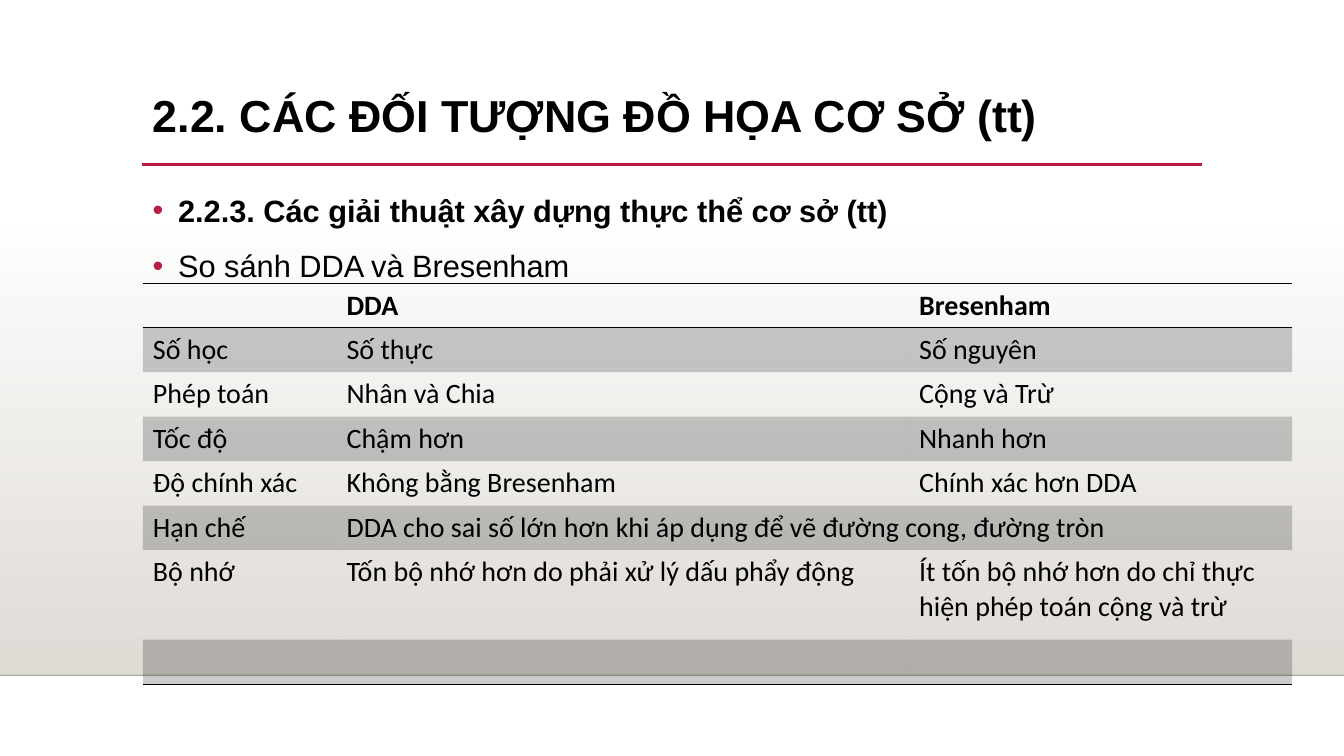
from lxml import etree
from pptx import Presentation
from pptx.dml.color import RGBColor
from pptx.enum.shapes import MSO_CONNECTOR, MSO_SHAPE
from pptx.oxml.ns import qn
from pptx.util import Cm, Pt

STRAIGHT = MSO_CONNECTOR.STRAIGHT
RECTANGLE = MSO_SHAPE.RECTANGLE

BLACK = "000000"
ACCENT = "B71E42"
SAND = "DFDBD5"

COMPARISON = [
    ["", "DDA", "Bresenham"],
    ["Số học", "Số thực", "Số nguyên"],
    ["Phép toán", "Nhân và Chia", "Cộng và Trừ"],
    ["Tốc độ", "Chậm hơn", "Nhanh hơn"],
    ["Độ chính xác", "Không bằng Bresenham", "Chính xác hơn DDA"],
    ["Hạn chế", "DDA cho sai số lớn hơn khi áp dụng để vẽ đường cong, đường tròn", None],
    ["Bộ nhớ", "Tốn bộ nhớ hơn do phải xử lý dấu phẩy động",
     "Ít tốn bộ nhớ hơn do chỉ thực hiện phép toán cộng và trừ"],
    ["", "", ""],
]
MEMORY_ROW = 6


def rgb(value):
    return RGBColor.from_string(value)


def add_node(parent, tag, **attributes):
    return etree.SubElement(parent, qn(tag), attributes)


def set_alpha(colour_node, percent):
    add_node(colour_node, "a:alpha", val=str(percent * 1000))


class SlideBuilder:
    text_font = "Arial"
    table_font = "Calibri"

    def __init__(self, slide):
        self.slide = slide

    def style(self, paragraph, size, bold=False, font=text_font):
        paragraph.font.name = font
        paragraph.font.size = Pt(size)
        paragraph.font.bold = bold
        paragraph.font.color.rgb = rgb(BLACK)

    def fading_band(self, left, top, width, height, colour):
        """Rectangle that goes from clear at the top to solid at the bottom."""
        band = self.slide.shapes.add_shape(
            RECTANGLE, Cm(left), Cm(top), Cm(width), Cm(height))
        band.shadow.inherit = False
        band.line.fill.background()
        band.fill.gradient()
        band.fill.gradient_angle = 270
        for stop in band.fill.gradient_stops:
            stop.color.rgb = rgb(colour)
        set_alpha(band._element.xpath(".//a:gs/a:srgbClr")[0], 0)

    def rule(self, left, right, y, colour, width, alpha=100):
        rule = self.slide.shapes.add_connector(
            STRAIGHT, Cm(left), Cm(y), Cm(right), Cm(y))
        rule.line.color.rgb = rgb(colour)
        rule.line.width = Pt(width)
        if alpha < 100:
            set_alpha(rule._element.xpath(".//a:ln//a:srgbClr")[0], alpha)
        add_node(rule._element.spPr, "a:effectLst")

    def text(self, left, top, width, height, lines, size, spacing, bullets=False):
        """Write lines given as (wording, bold) pairs."""
        frame = self.slide.shapes.add_textbox(
            Cm(left), Cm(top), Cm(width), Cm(height)).text_frame
        frame.word_wrap = True
        for index, (wording, bold) in enumerate(lines):
            paragraph = frame.paragraphs[0] if index == 0 else frame.add_paragraph()
            paragraph.text = wording
            paragraph.line_spacing = spacing
            if bullets:
                self.bullet(paragraph)
            self.style(paragraph, size, bold)

    def bullet(self, paragraph):
        properties = paragraph._p.get_or_add_pPr()
        indent = Cm(0.64)
        properties.set("marL", str(indent))
        properties.set("indent", str(-indent))
        add_node(add_node(properties, "a:buClr"), "a:srgbClr", val=ACCENT)
        add_node(properties, "a:buFont", typeface=self.text_font)
        add_node(properties, "a:buChar", char="•")

    def borders(self, cell, top, bottom):
        properties = cell._tc.get_or_add_tcPr()
        sides = {"a:lnL": False, "a:lnR": False, "a:lnT": top, "a:lnB": bottom}
        for side, visible in sides.items():
            line = add_node(properties, side, w=str(Pt(1)))
            if visible:
                add_node(add_node(line, "a:solidFill"), "a:srgbClr", val=BLACK)
            else:
                add_node(line, "a:noFill")

    def table(self, left, top, column_widths, row_heights, rows):
        """Banded table; None continues the cell to its left."""
        table = self.slide.shapes.add_table(
            len(rows), len(column_widths), Cm(left), Cm(top),
            Cm(sum(column_widths)), Cm(sum(row_heights))).table
        table.first_row = table.horz_banding = False
        for column, width in zip(table.columns, column_widths):
            column.width = Cm(width)
        for row, height in zip(table.rows, row_heights):
            row.height = Cm(height)
        for r, row in enumerate(rows):
            for c, wording in enumerate(row):
                cell = table.cell(r, c)
                self.borders(cell, top=r in (0, 1), bottom=r in (0, len(rows) - 1))
                if r % 2:
                    cell.fill.solid()
                    cell.fill.fore_color.rgb = rgb(BLACK)
                    set_alpha(cell._tc.tcPr.find(qn("a:solidFill"))[0], 20)
                else:
                    cell.fill.background()
                if wording is None:
                    table.cell(r, c - 1).merge(cell)
                    continue
                cell.text = wording
                self.style(cell.text_frame.paragraphs[0], 20, r == 0, self.table_font)


def main():
    presentation = Presentation()
    presentation.slide_width = Cm(33.87)
    presentation.slide_height = Cm(19.05)
    builder = SlideBuilder(presentation.slides.add_slide(presentation.slide_layouts[6]))

    builder.fading_band(0, 5.61, 33.87, 11.41, SAND)
    builder.rule(0, 33.87, 17.02, "000001", 1, alpha=20)
    builder.rule(3.58, 30.28, 4.14, ACCENT, 2.5)
    builder.text(3.6, 4.24, 26.67, 9.58, [
        ("2.2.3. Các giải thuật xây dựng thực thể cơ sở (tt)", True),
        ("So sánh DDA và Bresenham", False),
    ], size=22, spacing=1.5, bullets=True)
    builder.text(3.6, 2.24, 26.67, 2.92,
                 [("2.2. CÁC ĐỐI TƯỢNG ĐỒ HỌA CƠ SỞ (tt)", True)],
                 size=32, spacing=0.9)
    row_heights = [2.26 if r == MEMORY_ROW else 1.12 for r in range(len(COMPARISON))]
    builder.table(3.6, 7.14, [4.88, 14.43, 9.65], row_heights, COMPARISON)

    presentation.save("out.pptx")


if __name__ == "__main__":
    main()
